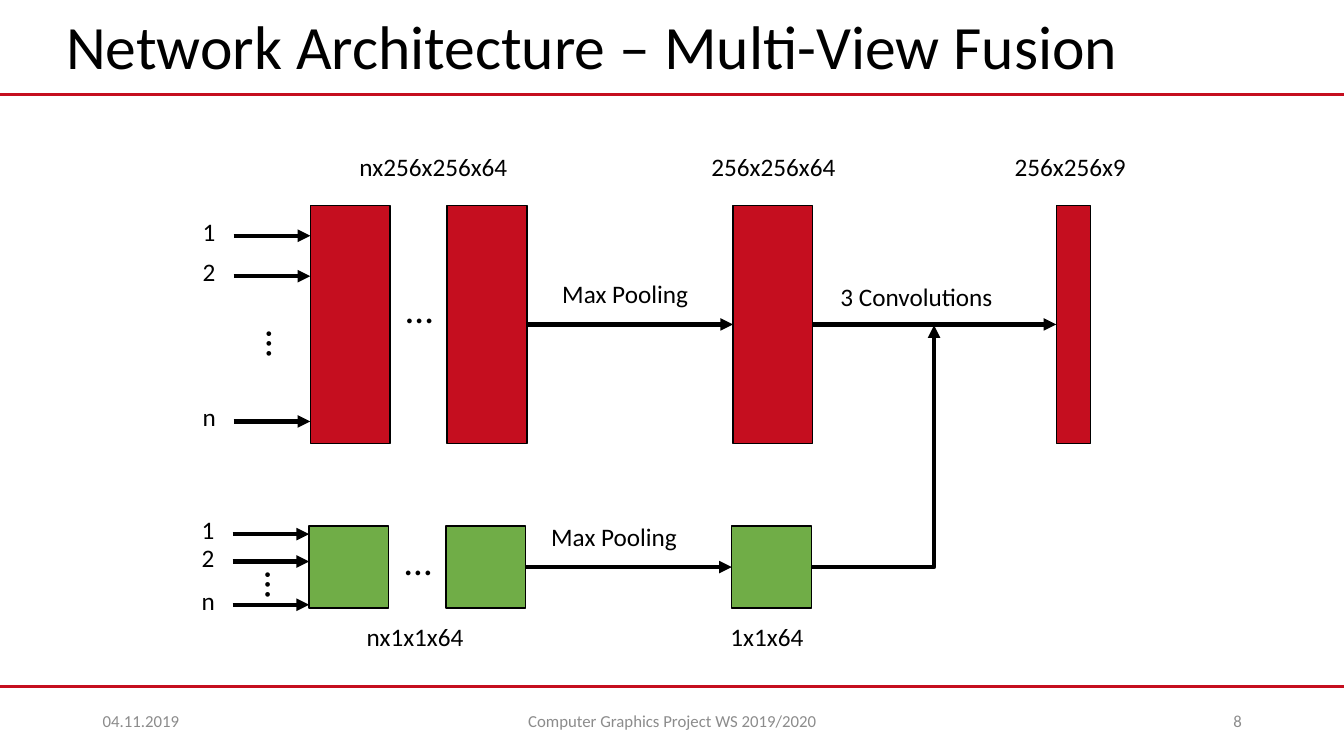
from dataclasses import dataclass

from lxml.etree import SubElement
from pptx import Presentation
from pptx.dml.color import RGBColor
from pptx.enum.shapes import MSO_CONNECTOR as Link, MSO_SHAPE as Preset
from pptx.enum.text import MSO_ANCHOR as Anchor, PP_ALIGN as Align
from pptx.oxml.ns import qn
from pptx.util import Cm, Pt

RED, GREEN, BLACK, GREY = "C50E1F", "70AD47", "000000", "8C8C8C"
PAGE_WIDTH, PAGE_HEIGHT = 33.87, 19.05
BLOCK_WIDTH = 2.01
SECOND_OFFSET, POOLED_OFFSET = 3.45, 10.65


@dataclass
class Box:
    left: float
    top: float
    width: float
    height: float

    @property
    def right(self):
        return self.left + self.width

    @property
    def middle(self):
        return self.top + self.height / 2

    def lengths(self):
        return Cm(self.left), Cm(self.top), Cm(self.width), Cm(self.height)


@dataclass
class Stream:
    color: str
    inputs: tuple
    input_dots: float
    block_dots: float
    pooling_left: float
    size_top: float
    stack_size: tuple
    pooled_size: tuple


def color(code):
    return RGBColor.from_string(code)


def add_text(page, box, text, size=18, code=BLACK, align=Align.LEFT,
             anchor=Anchor.TOP, rotation=0, spacing=1.0):
    shape = page.shapes.add_textbox(*box.lengths())
    shape.rotation = rotation
    frame = shape.text_frame
    frame.word_wrap = True
    frame.vertical_anchor = anchor
    para = frame.paragraphs[0]
    para.alignment = align
    para.line_spacing = spacing
    span = para.add_run()
    span.text = text
    span.font.name = "Calibri"
    span.font.size = Pt(size)
    span.font.color.rgb = color(code)


def add_block(page, box, fill):
    block = page.shapes.add_shape(Preset.RECTANGLE, *box.lengths())
    block.shadow.inherit = False
    block.fill.solid()
    block.fill.fore_color.rgb = color(fill)
    block.line.color.rgb = color(BLACK)
    block.line.width = Pt(1)


def add_line(page, start, end, code=BLACK, width=3, arrow=True, bent=False):
    points = [Cm(value) for value in (*start, *end)]
    line = page.shapes.add_connector(Link.STRAIGHT, *points)
    line.line.color.rgb = color(code)
    line.line.width = Pt(width)
    properties = line._element.spPr
    if bent:
        properties.find(qn("a:prstGeom")).set("prst", "bentConnector2")
    if arrow:
        SubElement(properties.find(qn("a:ln")), qn("a:tailEnd"), type="triangle")
    SubElement(properties, qn("a:effectLst"))


def add_header(page, box):
    add_text(page, Box(box.left + 1.42, box.top - 0.28, 29.21, 3.07),
             "Network Architecture – Multi-View Fusion", size=44,
             anchor=Anchor.MIDDLE, spacing=0.9)
    bottom = box.top + box.height
    add_line(page, (box.left, bottom), (box.right, bottom), RED, 2, arrow=False)


def add_footer(page, box):
    add_line(page, (box.left, box.top), (box.right, box.top), RED, 2, arrow=False)
    for left, width, text, align in (
        (2.34, 7.62, "04.11.2019", Align.LEFT),
        (11.23, 11.43, "Computer Graphics Project WS 2019/2020", Align.CENTER),
        (23.93, 7.62, "8", Align.RIGHT),
    ):
        add_text(page, Box(box.left + left, box.top + 0.36, width, 1.01), text,
                 12, GREY, align, Anchor.MIDDLE)


def add_stream(page, box, stream):
    for label, offset in zip("12n", stream.inputs):
        y = box.top + offset
        add_text(page, Box(box.left - 2.96, y - 0.62, 1, 1.22), label)
        add_line(page, (box.left - 1.93, y), (box.left, y))
    add_text(page, Box(box.left - 1.57, box.top + stream.input_dots - 0.86, 1.44, 1.73),
             "…", 28, rotation=90)

    for offset in (0, SECOND_OFFSET, POOLED_OFFSET):
        add_block(page, Box(box.left + offset, box.top, BLOCK_WIDTH, box.height),
                  stream.color)
    add_text(page, Box(box.left + 2.16, box.top + stream.block_dots, 1.42, 1.75), "…", 28)

    add_line(page, (box.left + SECOND_OFFSET + BLOCK_WIDTH, box.middle),
             (box.left + POOLED_OFFSET, box.middle))
    add_text(page, Box(box.left + stream.pooling_left, box.middle - 1.28, 4.42, 1.22),
             "Max Pooling")
    for left, text in (stream.stack_size, stream.pooled_size):
        add_text(page, Box(box.left + left, box.top + stream.size_top, 4.29, 1.02), text)


def add_fusion(page, box, lower_start):
    add_line(page, lower_start, (23.54, box.middle + 0.02), bent=True)
    add_line(page, (box.left, box.middle), (box.right, box.middle))
    add_text(page, Box(box.left + 0.45, box.middle - 1.2, 5.23, 1.22), "3 Convolutions")
    add_block(page, Box(box.right, box.top, 0.86, box.height), RED)
    add_text(page, Box(box.right - 1.3, box.top - 1.5, 4.29, 1.02), "256x256x9")


def main():
    deck = Presentation()
    deck.slide_width, deck.slide_height = Cm(PAGE_WIDTH), Cm(PAGE_HEIGHT)
    page = deck.slides.add_slide(deck.slide_layouts[6])

    pooled_right = POOLED_OFFSET + BLOCK_WIDTH
    views = Box(7.82, 5.18, pooled_right, 5.99)
    features = Box(7.79, 13.26, pooled_right, 2.06)

    add_header(page, Box(0, 0, PAGE_WIDTH, 2.39))
    add_footer(page, Box(0, 17.3, PAGE_WIDTH, 1.75))
    add_stream(page, views, Stream(
        RED, inputs=(0.76, 1.78, 5.44), input_dots=3.61, block_dots=1.86,
        pooling_left=6.1, size_top=-1.5,
        stack_size=(0.99, "nx256x256x64"), pooled_size=(9.86, "256x256x64")))
    add_stream(page, features, Stream(
        GREEN, inputs=(0.2, 0.89, 1.98), input_dots=1.6, block_dots=0.13,
        pooling_left=5.85, size_top=2.26,
        stack_size=(1.2, "nx1x1x64"), pooled_size=(10.37, "1x1x64")))
    add_fusion(page, Box(views.right, views.top, 6.14, views.height),
               (features.right, features.middle))
    deck.save("out.pptx")


if __name__ == "__main__":
    main()
